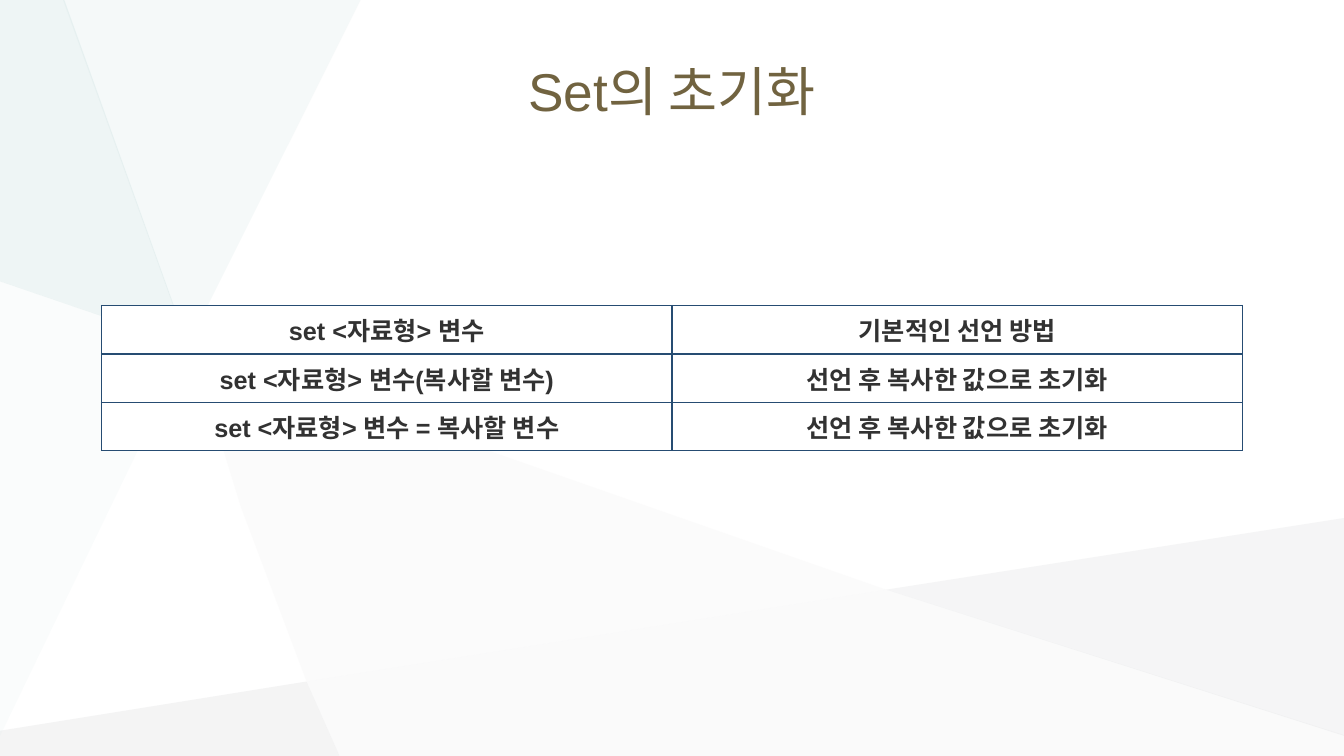
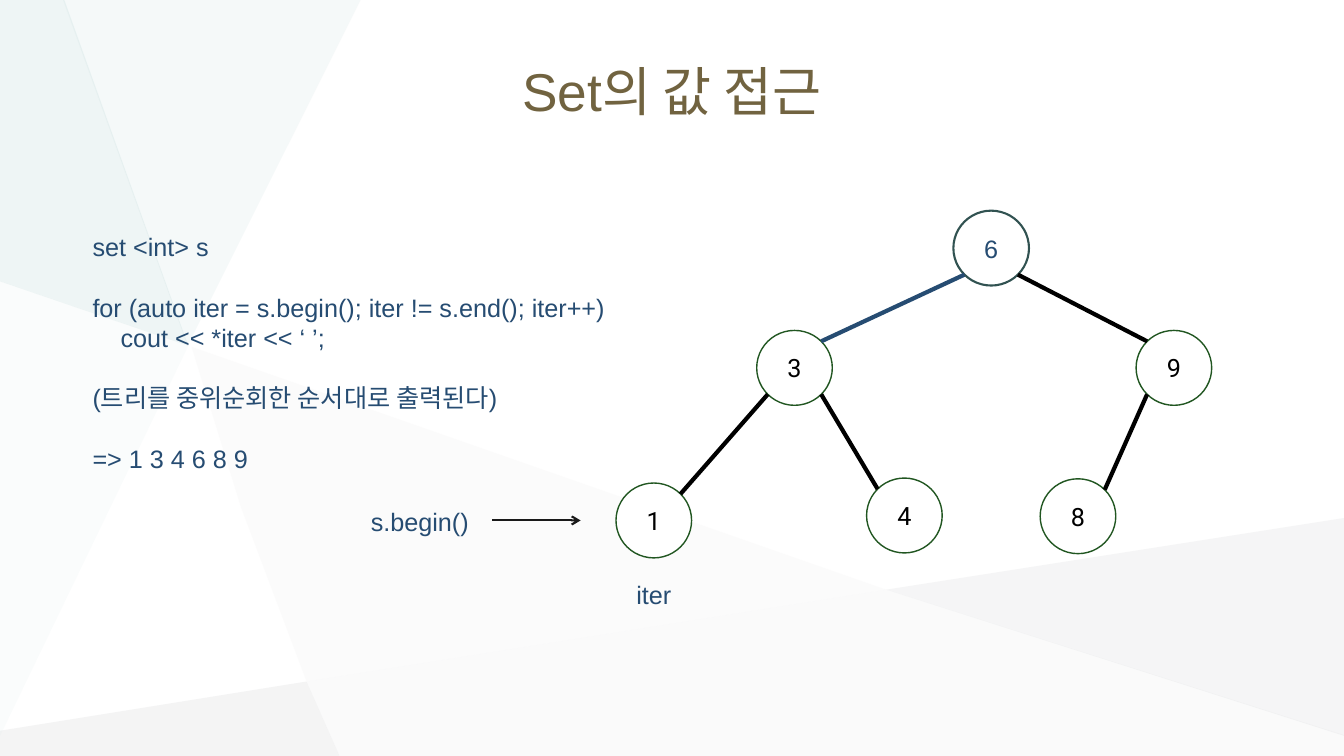
from lxml import etree
from pptx import Presentation
from pptx.dml.color import RGBColor
from pptx.enum import shapes, text
from pptx.oxml import ns
from pptx.util import Pt

WHITE = RGBColor(0xFF, 0xFF, 0xFF)
BLACK = RGBColor(0, 0, 0)
GOLD = RGBColor(0x71, 0x63, 0x40)
NAVY = RGBColor(0x26, 0x4C, 0x72)
INK = RGBColor(0x32, 0x32, 0x32)
DARK = RGBColor(0x19, 0x19, 0x19)
GREEN = RGBColor(0x21, 0x56, 0x21)
TEAL = RGBColor(0x31, 0x52, 0x51)
PALE = RGBColor(0xF3, 0xF2, 0xF2)
GRAY = RGBColor(0xB6, 0xB8, 0xBA)
SILVER = RGBColor(0xC6, 0xC8, 0xCA)
MINT = RGBColor(0xC1, 0xDB, 0xDB)
ICE = RGBColor(0xE0, 0xED, 0xED)

WIDE, HIGH = 960, 540
SANS, ROUND = "Arial", "Roboto"
SIZE = 18
LEFT, MID = text.PP_ALIGN.LEFT, text.PP_ALIGN.CENTER
NODE_W, NODE_H = 54, 53.5
DIAG = 0.5 ** 0.5 / 2

HUB, FOOT, PEAK = (134.5, 247), (219, 486.8), (633, 421.2)
FACETS = [
    (PALE, 26, [(136.8, 247.7), (172, 362), FOOT, PEAK]),
    (GRAY, 15, [FOOT, (0, 522), (0, HIGH), (242.6, HIGH)]),
    (ICE, 31, [(257.5, 0), (45, 0), (134, 247)]),
    (SILVER, 17, [(WIDE, 370), PEAK, (WIDE, 525.6)]),
    (GRAY, 6, [PEAK, FOOT, (242.6, HIGH), (WIDE, HIGH), (WIDE, 525)]),
    (MINT, 27, [(46, 0), (0, 0), (0, 201), HUB]),
    (MINT, 8, [(0, 201), (0, 525.6), HUB]),
]

ROWS = [
    ("set <자료형> 변수", "기본적인 선언 방법"),
    ("set <자료형> 변수(복사할 변수)", "선언 후 복사한 값으로 초기화"),
    ("set <자료형> 변수 = 복사할 변수", "선언 후 복사한 값으로 초기화"),
]

CODE = [
    ("set <int> s", 0, 0),
    ("for (auto iter = s.begin(); iter != s.end(); iter++)", 21.5, 0),
    ("cout << *iter << ‘ ’;", 0, 20),
    ("(트리를 중위순회한 순서대로 출력된다)", 21.5, 0),
    ("=> 1 3 4 6 8 9", 21.5, 0),
]

NODES = {
    "6": (681, 150.5),
    "3": (540.5, 236),
    "9": (811.5, 236),
    "1": (440, 345),
    "4": (619, 341.5),
    "8": (743, 342),
}
EDGES = [("6", "3", NAVY), ("3", "1", BLACK), ("3", "4", BLACK),
         ("6", "9", BLACK), ("9", "8", BLACK)]


def add_run(para, words, color, size=SIZE, font=SANS, bold=False):
    run = para.add_run()
    run.text = words
    run.font.name = font
    run.font.size = Pt(size)
    run.font.bold = bold
    run.font.color.rgb = color


def add_facet(slide, color, alpha, points):
    spots = [(Pt(x), Pt(y)) for x, y in points]
    form = slide.shapes.build_freeform(*spots[0])
    form.add_line_segments(spots[1:], close=True)
    facet = form.convert_to_shape()
    facet.shadow.inherit = False
    facet.line.fill.background()
    facet.fill.solid()
    facet.fill.fore_color.rgb = color
    tint = facet.element.spPr.find(".//" + ns.qn("a:srgbClr"))
    etree.SubElement(tint, ns.qn("a:alpha")).set("val", str(alpha * 1000))


def add_box(slide, x, y, w, h, lines, color=NAVY, size=SIZE, align=LEFT,
            anchor=text.MSO_ANCHOR.TOP):
    frame = slide.shapes.add_textbox(Pt(x), Pt(y), Pt(w), Pt(h)).text_frame
    frame.word_wrap = True
    frame.vertical_anchor = anchor
    for i, (words, gap, indent) in enumerate(lines):
        para = frame.add_paragraph() if i else frame.paragraphs[0]
        para.alignment = align
        para.space_before = Pt(gap)
        if indent:
            para._p.get_or_add_pPr().set("marL", str(Pt(indent)))
        add_run(para, words, color, size)


def add_line(slide, start, end, color, width, arrow=False):
    ends = [Pt(v) for v in (*start, *end)]
    line = slide.shapes.add_connector(shapes.MSO_CONNECTOR.STRAIGHT, *ends)
    line.line.color.rgb = color
    line.line.width = Pt(width)
    if arrow:
        tail = etree.SubElement(line.line._get_or_add_ln(), ns.qn("a:tailEnd"))
        tail.set("type", "arrow")
    etree.SubElement(line.element.spPr, ns.qn("a:effectLst"))


def add_node(slide, name, root):
    x, y = NODES[name]
    node = slide.shapes.add_shape(shapes.MSO_SHAPE.OVAL, Pt(x), Pt(y),
                                  Pt(NODE_W), Pt(NODE_H))
    node.shadow.inherit = False
    node.fill.solid()
    node.fill.fore_color.rgb = WHITE
    node.line.color.rgb = TEAL if root else GREEN
    node.line.width = Pt(1.5 if root else 1)
    frame = node.text_frame
    frame.vertical_anchor = text.MSO_ANCHOR.MIDDLE
    para = frame.paragraphs[0]
    para.alignment = MID
    add_run(para, name, NAVY if root else BLACK,
            font=SANS if root else ROUND)


def rim(name, right, low):
    x, y = NODES[name]
    return (x + NODE_W * (0.5 + DIAG * right),
            y + NODE_H * (0.5 + DIAG * low))


def add_edge(slide, top, child, color):
    side = 1 if NODES[child][0] > NODES[top][0] else -1
    add_line(slide, rim(top, side, 1), rim(child, -side, -1), color, 3)


def set_edges(cell, color, width):
    props = cell._tc.get_or_add_tcPr()
    for i, tag in enumerate(("a:lnL", "a:lnR", "a:lnT", "a:lnB")):
        edge = etree.Element(ns.qn(tag), w=str(Pt(width)))
        fill = etree.SubElement(edge, ns.qn("a:solidFill"))
        etree.SubElement(fill, ns.qn("a:srgbClr")).set("val", str(color))
        props.insert(i, edge)


def add_grid(slide, x, y, w, high, rows):
    grid = slide.shapes.add_table(len(rows), len(rows[0]), Pt(x), Pt(y),
                                  Pt(w), Pt(high * len(rows))).table
    for r, row in enumerate(rows):
        grid.rows[r].height = Pt(high)
        for c, words in enumerate(row):
            cell = grid.cell(r, c)
            cell.fill.solid()
            cell.fill.fore_color.rgb = WHITE
            cell.vertical_anchor = text.MSO_ANCHOR.MIDDLE
            set_edges(cell, NAVY, 1)
            para = cell.text_frame.paragraphs[0]
            para.alignment = MID
            add_run(para, words, INK, bold=True)


def add_slide(deck, title):
    slide = deck.slides.add_slide(deck.slide_layouts[6])
    for facet in FACETS:
        add_facet(slide, *facet)
    add_box(slide, 35, 27.5, 890, 74, [(title, 0, 0)], GOLD, 38, MID,
            text.MSO_ANCHOR.MIDDLE)
    return slide


def main():
    deck = Presentation()
    deck.slide_width, deck.slide_height = Pt(WIDE), Pt(HIGH)

    init = add_slide(deck, "Set의 초기화")
    add_grid(init, 72.5, 218.25, 815, 34.56, ROWS)

    tree = add_slide(deck, "Set의 값 접근")
    for name in NODES:
        add_node(tree, name, name == "6")
    for edge in EDGES:
        add_edge(tree, *edge)
    add_box(tree, 430.5, 410, 73, 29, [("iter", 0, 0)], align=MID)
    add_box(tree, 59, 162, 397.5, 179, CODE)
    add_box(tree, 257.75, 358, 87, 29, [("s.begin()", 0, 0)])
    add_line(tree, (351.5, 371.75), (414.75, 371.75), DARK, 1.5, arrow=True)

    deck.save("out.pptx")


if __name__ == "__main__":
    main()
